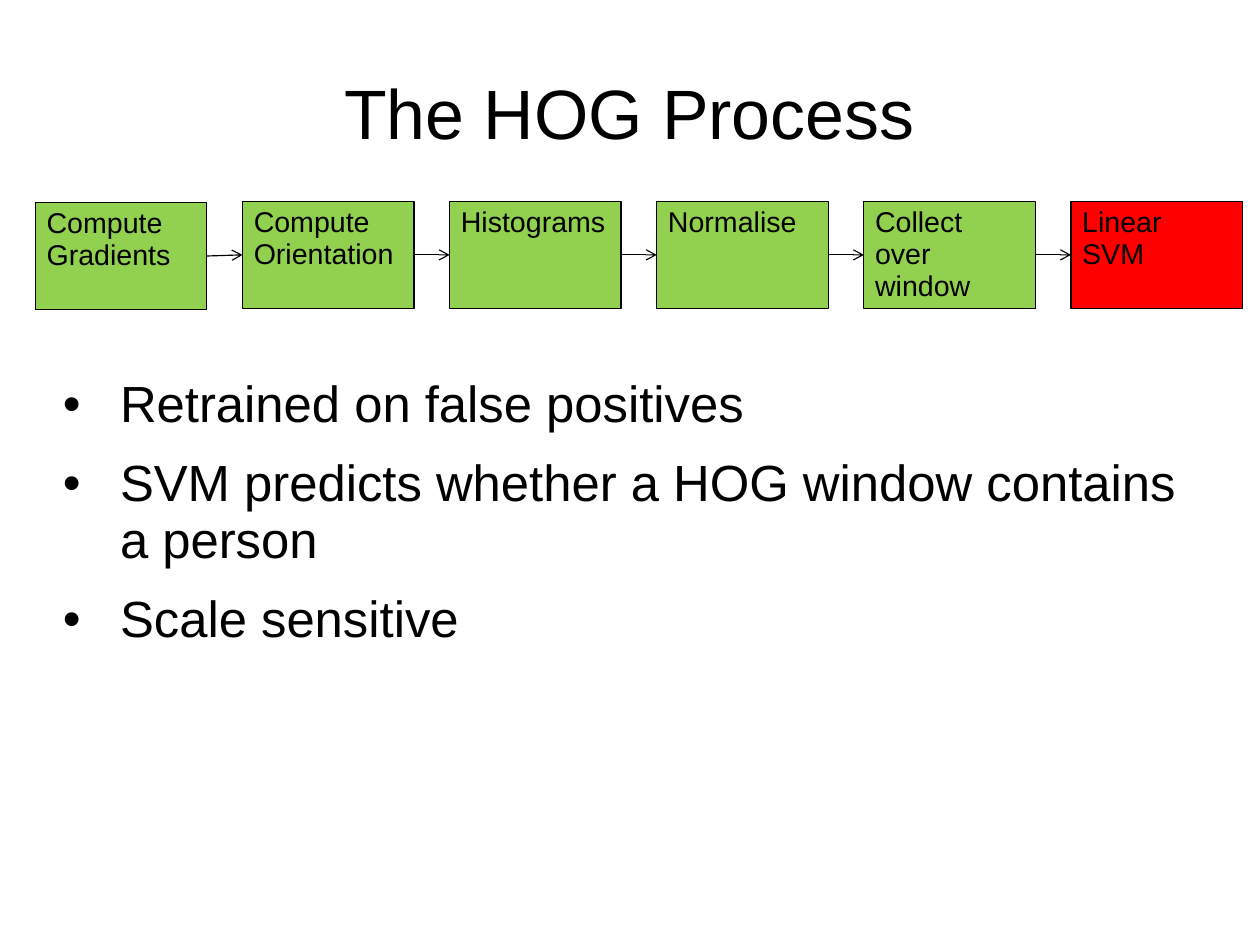
"""Build the slide about the HOG process."""
from lxml import etree
from pptx import Presentation
from pptx.dml.color import RGBColor
from pptx.enum.shapes import MSO_CONNECTOR, MSO_SHAPE
from pptx.enum.text import MSO_ANCHOR, MSO_AUTO_SIZE, PP_ALIGN
from pptx.oxml.ns import qn
from pptx.util import Inches, Pt

PROCESS = MSO_SHAPE.FLOWCHART_PROCESS
STRAIGHT = MSO_CONNECTOR.STRAIGHT
TOP, MIDDLE = MSO_ANCHOR.TOP, MSO_ANCHOR.MIDDLE
LEFT, CENTER = PP_ALIGN.LEFT, PP_ALIGN.CENTER
NO_AUTOFIT = MSO_AUTO_SIZE.NONE

CM_PER_INCH = 2.54
SLIDE_WIDTH, SLIDE_HEIGHT = 28 / CM_PER_INCH, 21 / CM_PER_INCH
FONT = "Arial"
COLORS = {"text": "000000", "line": "000000", "step": "92D050", "classifier": "FF0000"}
STEPS = [
    ("Compute Gradients", 1.77, "step"),
    ("Compute Orientation", 1.76, "step"),
    ("Histograms", 1.76, "step"),
    ("Normalise", 1.76, "step"),
    ("Collect over window", 1.76, "step"),
    ("Linear SVM", 1.76, "classifier"),
]
POINTS = [
    "Retrained on false positives",
    "SVM predicts whether a HOG window contains a person",
    "Scale sensitive",
]
FIRST_LEFT, LAST_LEFT = 0.31, 9.37
STEP_PITCH = (LAST_LEFT - FIRST_LEFT) / (len(STEPS) - 1)
STEP_WIDTH, STEP_HEIGHT = 1.5, 0.94


def rgb(name):
    """Return the named colour."""
    return RGBColor.from_string(COLORS[name])


def write(p, text, size, align=LEFT):
    """Add one formatted run to a paragraph."""
    p.alignment = align
    p.line_spacing = 0.93
    r = p.add_run()
    r.text = text
    r.font.name = FONT
    r.font.size = Pt(size)
    r.font.color.rgb = rgb("text")


def place(sp, left, top, width, height, anchor, inset_top=0):
    """Move a placeholder, set its insets and return its text frame."""
    sp.left, sp.top = Inches(left), Inches(top)
    sp.width, sp.height = Inches(width), Inches(height)
    tf = sp.text_frame
    tf.word_wrap = True
    tf.auto_size = NO_AUTOFIT
    tf.vertical_anchor = anchor
    tf.margin_left = tf.margin_right = tf.margin_bottom = 0
    tf.margin_top = Inches(inset_top)
    return tf


def add_bullet(p):
    """Give a paragraph a hanging round bullet."""
    p.space_before = Pt(0)
    p.space_after = Pt(14.2)
    pPr = p._p.get_or_add_pPr()
    pPr.set("marL", str(Inches(0.5)))
    pPr.set("indent", str(Inches(-0.5)))
    color = etree.SubElement(pPr, qn("a:buClr"))
    etree.SubElement(color, qn("a:srgbClr"), val=COLORS["text"])
    etree.SubElement(pPr, qn("a:buFont"), typeface=FONT)
    etree.SubElement(pPr, qn("a:buChar"), char="•")


def add_points(tf, points):
    """Fill a text frame with bulleted points."""
    for i, text in enumerate(points):
        p = tf.add_paragraph() if i else tf.paragraphs[0]
        write(p, text, 32)
        add_bullet(p)


def add_step(s, left, top, text, fill):
    """Add one process box."""
    sp = s.shapes.add_shape(PROCESS, Inches(left), Inches(top),
                            Inches(STEP_WIDTH), Inches(STEP_HEIGHT))
    sp.shadow.inherit = False
    sp.fill.solid()
    sp.fill.fore_color.rgb = rgb(fill)
    sp.line.color.rgb = rgb("line")
    sp.line.width = Pt(0.75)
    tf = sp.text_frame
    tf.word_wrap = True
    tf.vertical_anchor = TOP
    write(tf.paragraphs[0], text, 18)
    return sp


def add_arrow(s, start, end):
    """Join two boxes with an arrow from right side to left side."""
    cx = s.shapes.add_connector(STRAIGHT, 0, 0, 0, 0)
    cx.begin_connect(start, 3)
    cx.end_connect(end, 1)
    cx.line.color.rgb = rgb("line")
    cx.line.width = Pt(0.75)
    spPr = cx._element.spPr
    etree.SubElement(spPr.get_or_add_ln(), qn("a:tailEnd"), type="arrow")
    etree.SubElement(spPr, qn("a:effectLst"))


def main():
    """Build and save the slide."""
    prs = Presentation()
    prs.slide_width, prs.slide_height = Inches(SLIDE_WIDTH), Inches(SLIDE_HEIGHT)
    s = prs.slides.add_slide(prs.slide_layouts[1])
    title = place(s.shapes.title, 0.55, 0.33, 9.92, 1.38, MIDDLE)
    write(title.paragraphs[0], "The HOG Process", 44, CENTER)
    body = place(s.placeholders[1], 0.55, 3.27, 9.92, 4.12, TOP, 0.03)
    add_points(body, POINTS)
    boxes = [add_step(s, FIRST_LEFT + i * STEP_PITCH, top, text, fill)
             for i, (text, top, fill) in enumerate(STEPS)]
    for start, end in zip(boxes, boxes[1:]):
        add_arrow(s, start, end)
    prs.save("out.pptx")


if __name__ == "__main__":
    main()
